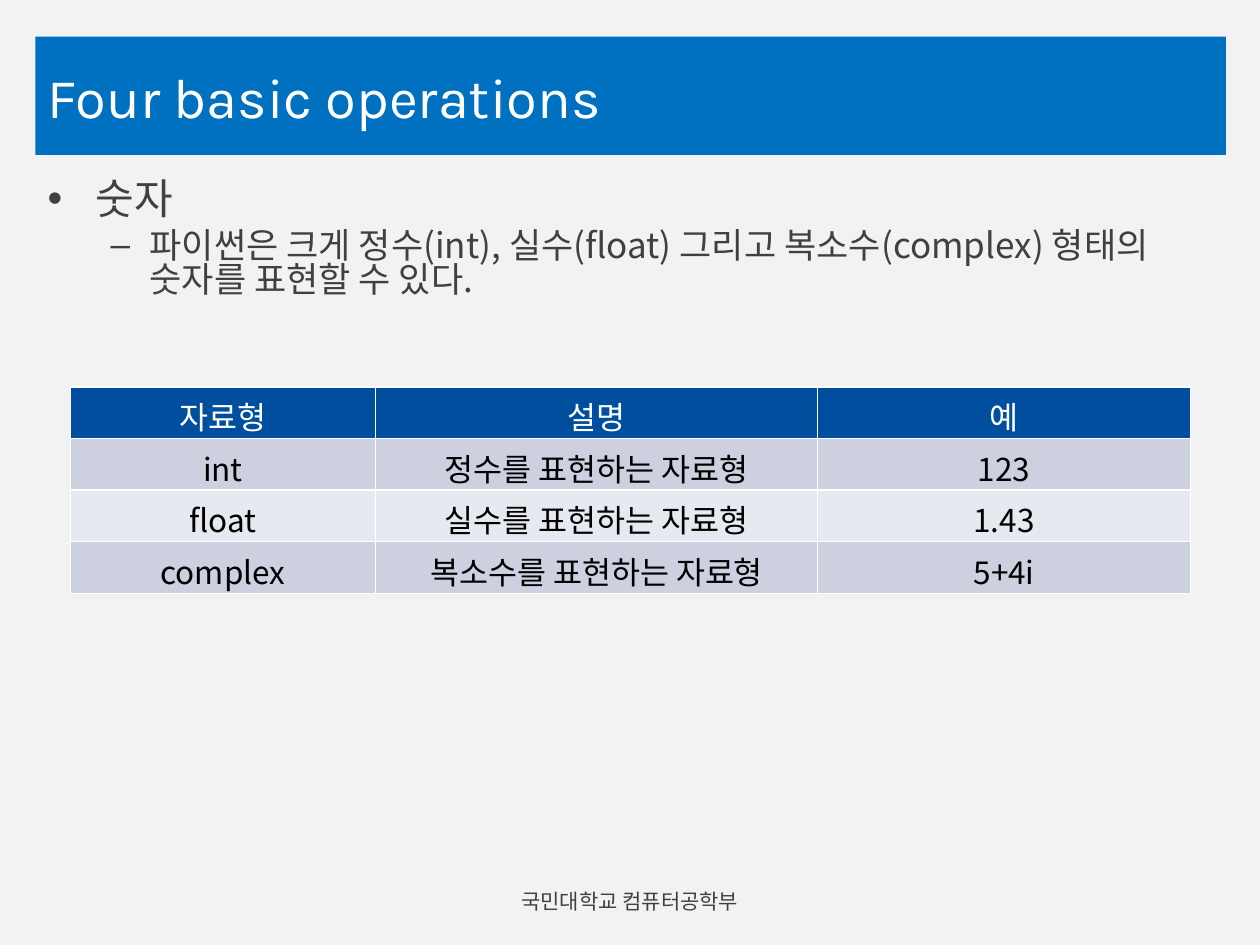
from lxml.etree import SubElement
from pptx import Presentation
from pptx.dml.color import RGBColor
from pptx.enum.text import MSO_ANCHOR, PP_ALIGN
from pptx.oxml.ns import qn
from pptx.util import Inches, Pt

COLORS = {
    "page": "F2F2F2", "banner": "0070C0", "white": "FFFFFF", "text": "404040",
    "black": "000000", "head": "004F9F", "odd": "CCD0DF", "even": "E7E9F0",
}
KOREAN = "Noto Sans CJK KR"


def fill(target, color):
    """Give a shape, cell or background a solid colour."""
    target.fill.solid()
    target.fill.fore_color.rgb = RGBColor.from_string(COLORS[color])


def add_run(p, text, size, font, color):
    """Add one formatted run, with the Korean font for Hangul."""
    r = p.add_run()
    r.text = text
    r.font.size = Pt(size)
    r.font.name = font
    r.font.color.rgb = RGBColor.from_string(COLORS[color])
    SubElement(r.font._element, qn("a:ea"), typeface=KOREAN)


def add_box(s, box):
    """Add a wrapping text box and return its text frame."""
    tf = s.shapes.add_textbox(*map(Inches, box)).text_frame
    tf.word_wrap = True
    return tf


def add_banner(s, box, text):
    """Place the title placeholder as a coloured banner."""
    sp = s.shapes.title
    sp.left, sp.top, sp.width, sp.height = map(Inches, box)
    fill(sp, "banner")
    tf = sp.text_frame
    tf.vertical_anchor = MSO_ANCHOR.MIDDLE
    p = tf.paragraphs[0]
    p.alignment = PP_ALIGN.LEFT
    add_run(p, text, 32, "Karla", "white")


def add_bullets(s, box, items):
    """Write bulleted paragraphs: level, mark, margin, hang, size, font, text."""
    tf = add_box(s, box)
    for i, (level, mark, margin, hang, size, font, text) in enumerate(items):
        p = tf.add_paragraph() if i else tf.paragraphs[0]
        p.level = level
        p.line_spacing = 0.83
        p.space_before = Pt(size * 0.2)
        pPr = p._p.get_or_add_pPr()
        pPr.set("marL", str(Inches(margin)))
        pPr.set("indent", str(-Inches(hang)))
        SubElement(pPr, qn("a:buFont"), typeface="Arial")
        SubElement(pPr, qn("a:buChar"), char=mark)
        add_run(p, text, size, font, "text")


def set_borders(cell, bottom):
    """Draw white cell borders, with the given bottom width in points."""
    tcPr = cell._tc.get_or_add_tcPr()
    for i, (side, width) in enumerate(zip("LRTB", (1, 1, 1, bottom))):
        ln = tcPr.makeelement(qn(f"a:ln{side}"), {"w": str(Pt(width))})
        color = SubElement(ln, qn("a:solidFill"))
        SubElement(color, qn("a:srgbClr"), val=COLORS["white"])
        tcPr.insert(i, ln)


def add_type_table(s, left, top, widths, row_height, rows):
    """Add the banded table of data types."""
    size = (sum(widths), row_height * len(rows))
    table = s.shapes.add_table(len(rows), len(widths),
                               *map(Inches, (left, top, *size))).table
    for col, width in zip(table.columns, widths):
        col.width = Inches(width)
    for i, texts in enumerate(rows):
        table.rows[i].height = Inches(row_height)
        for j, text in enumerate(texts):
            cell = table.cell(i, j)
            fill(cell, "head" if i == 0 else "odd" if i % 2 else "even")
            set_borders(cell, 1)
            cell.vertical_anchor = MSO_ANCHOR.MIDDLE
            p = cell.text_frame.paragraphs[0]
            p.alignment = PP_ALIGN.CENTER
            add_run(p, text, 18, KOREAN, "black" if i else "white")
            p.runs[0].font.bold = False


def add_footer(s, box, text):
    """Centre the footer line in its box."""
    tf = add_box(s, box)
    tf.vertical_anchor = MSO_ANCHOR.MIDDLE
    p = tf.paragraphs[0]
    p.alignment = PP_ALIGN.CENTER
    add_run(p, text, 12, "Karla", "text")


prs = Presentation()
prs.slide_width, prs.slide_height = Inches(10), Inches(7.5)
s = prs.slides.add_slide(prs.slide_layouts[5])
fill(s.background, "page")

add_banner(s, (0.28, 0.29, 9.45, 0.94), "Four basic operations")
add_bullets(s, (0.28, 1.39, 9.45, 5.28), [
    (0, "•", 0.38, 0.38, 24, "Calibri", "숫자"),
    (1, "–", 0.81, 0.31, 20, KOREAN,
     "파이썬은 크게 정수(int), 실수(float) 그리고 복소수(complex) 형태의 숫자를 표현할 수 있다."),
])
add_footer(s, (3.11, 6.95, 3.78, 0.4), "국민대학교 컴퓨터공학부")
add_type_table(s, 0.56, 3.07, (2.42, 3.51, 2.96), 0.41, [
    ("자료형", "설명", "예"),
    ("int", "정수를 표현하는 자료형", "123"),
    ("float", "실수를 표현하는 자료형", "1.43"),
    ("complex", "복소수를 표현하는 자료형", "5+4i"),
])
prs.save("out.pptx")
